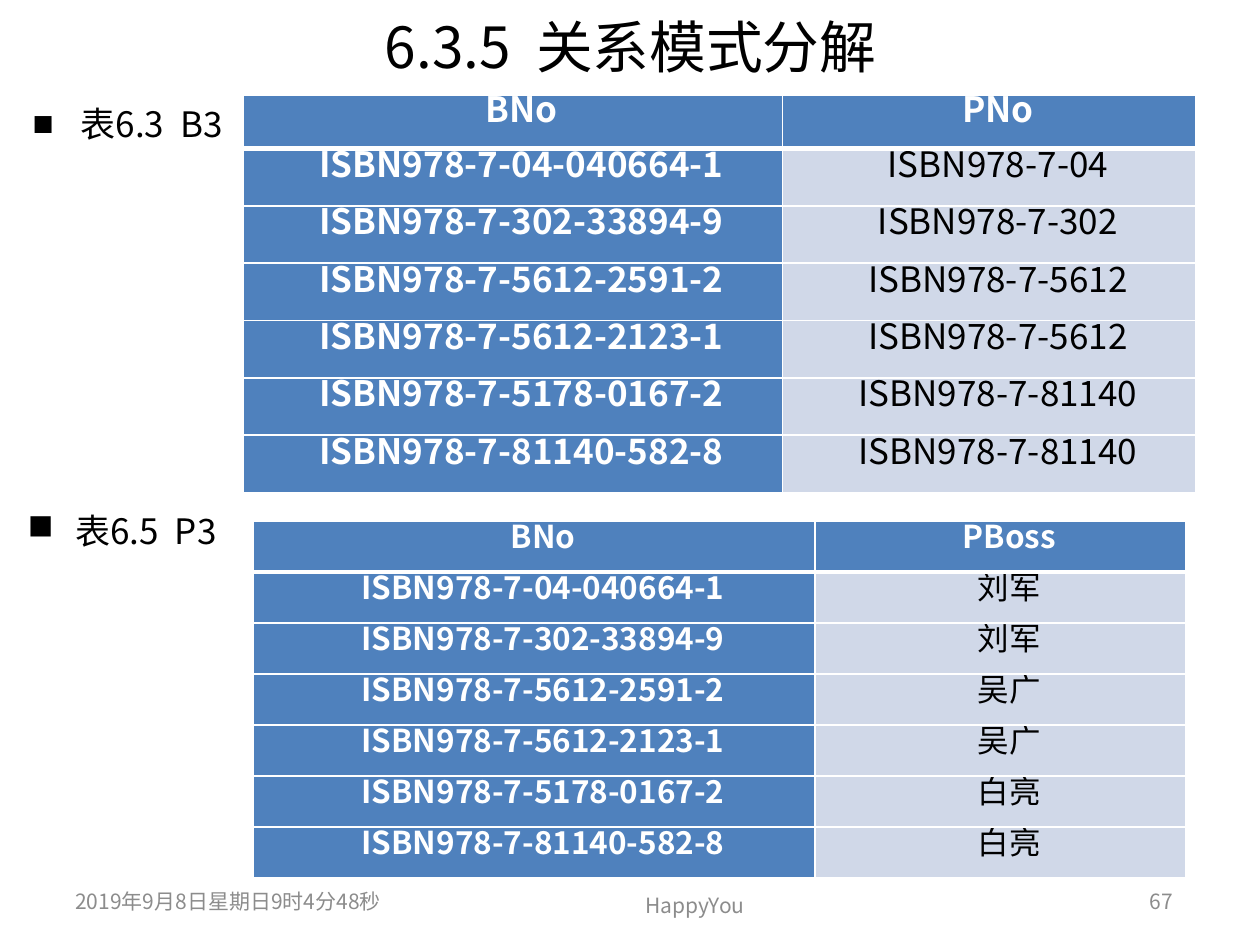
from lxml import etree
from pptx import Presentation
from pptx.dml.color import RGBColor
from pptx.enum.text import MSO_ANCHOR, MSO_AUTO_SIZE, PP_ALIGN
from pptx.oxml.ns import qn
from pptx.util import Inches, Pt

LEFT, CENTER, RIGHT = PP_ALIGN.LEFT, PP_ALIGN.CENTER, PP_ALIGN.RIGHT
MIDDLE, TOP = MSO_ANCHOR.MIDDLE, MSO_ANCHOR.TOP
NO_AUTOFIT = MSO_AUTO_SIZE.NONE

FONT = "Noto Sans CJK SC"
BLACK = RGBColor(0x00, 0x00, 0x00)
WHITE = RGBColor(0xFF, 0xFF, 0xFF)
GRAY = RGBColor(0x8C, 0x8C, 0x8C)
BLUE = RGBColor(0x4F, 0x81, 0xBD)
PALE_BLUE = RGBColor(0xD0, 0xD8, 0xE8)

BOOKS = [
    "ISBN978-7-04-040664-1",
    "ISBN978-7-302-33894-9",
    "ISBN978-7-5612-2591-2",
    "ISBN978-7-5612-2123-1",
    "ISBN978-7-5178-0167-2",
    "ISBN978-7-81140-582-8",
]
PUBLISHERS = [
    "ISBN978-7-04",
    "ISBN978-7-302",
    "ISBN978-7-5612",
    "ISBN978-7-5612",
    "ISBN978-7-81140",
    "ISBN978-7-81140",
]
BOSSES = ["刘军", "刘军", "吴广", "吴广", "白亮", "白亮"]


def style_paragraph(paragraph, size, color, align=LEFT, bold=False):
    paragraph.alignment = align
    font = paragraph.font
    font.name = FONT
    font.size = Pt(size)
    font.bold = bold
    font.color.rgb = color
    defaults = paragraph._p.pPr.find(qn("a:defRPr"))
    etree.SubElement(defaults, qn("a:ea"), typeface=FONT)


def fill_text(shape, box, text, anchor):
    shape.left, shape.top, shape.width, shape.height = map(Inches, box)
    frame = shape.text_frame
    frame.word_wrap = True
    frame.auto_size = NO_AUTOFIT
    frame.vertical_anchor = anchor
    frame.text = text
    return frame.paragraphs[0]


def set_title(title, box, text):
    style_paragraph(fill_text(title, box, text, MIDDLE), 32.4, BLACK, CENTER)


def set_caption(shape, box, text):
    caption = fill_text(shape, box, text, TOP)
    caption.line_spacing = Pt(36)
    caption.space_before = Pt(0)
    properties = caption._p.get_or_add_pPr()
    properties.set("marL", str(Inches(0.38)))
    properties.set("indent", str(-Inches(0.38)))
    etree.SubElement(properties, qn("a:buChar"), char="■")
    style_paragraph(caption, 20, BLACK)


def add_footer(slide, box, text, align):
    footer = slide.shapes.add_textbox(*map(Inches, box))
    style_paragraph(fill_text(footer, box, text, MIDDLE), 12, GRAY, align)


def add_borders(cell, bottom_width):
    properties = cell._tc.get_or_add_tcPr()
    for side, width in (("L", 1), ("R", 1), ("T", 1), ("B", bottom_width)):
        line = etree.SubElement(properties, qn(f"a:ln{side}"), w=str(Pt(width)))
        fill = etree.SubElement(line, qn("a:solidFill"))
        etree.SubElement(fill, qn("a:srgbClr"), val=str(WHITE))


def fill_cell(cell, text, size, is_header, is_key):
    emphasized = is_header or is_key
    cell.margin_left = cell.margin_right = Inches(0.02)
    cell.margin_top = cell.margin_bottom = 0
    cell.vertical_anchor = MIDDLE
    add_borders(cell, 3 if is_header else 1)
    cell.fill.solid()
    cell.fill.fore_color.rgb = BLUE if emphasized else PALE_BLUE
    cell.text = text
    paragraph = cell.text_frame.paragraphs[0]
    paragraph.line_spacing = Pt(12)
    paragraph._p.get_or_add_pPr().set("indent", str(Inches(0.14)))
    style_paragraph(paragraph, size, WHITE if emphasized else BLACK, CENTER, emphasized)


def add_relation(slide, box, key_width, header_height, size, rows):
    width, height = box[2:]
    table = slide.shapes.add_table(len(rows), 2, *map(Inches, box)).table
    table.columns[0].width = Inches(key_width)
    table.columns[1].width = Inches(width - key_width)
    row_height = (height - header_height) / (len(rows) - 1)
    for r, values in enumerate(rows):
        table.rows[r].height = Inches(row_height if r else header_height)
        for c, value in enumerate(values):
            fill_cell(table.cell(r, c), value, size, r == 0, c == 0)


def main():
    prs = Presentation()
    prs.slide_width, prs.slide_height = Inches(10), Inches(7.5)
    slide = prs.slides.add_slide(prs.slide_layouts[1])

    set_title(slide.shapes.title, (0.51, 0.13, 8.99, 0.46), "6.3.5  关系模式分解")

    add_footer(slide, (0.5, 6.95, 3, 0.4), "2019年9月8日星期日9时4分48秒", LEFT)
    add_footer(slide, (4.29, 6.98, 2.45, 0.4), "HappyYou", CENTER)
    add_footer(slide, (7.17, 6.95, 2.24, 0.4), "67", RIGHT)

    set_caption(slide.placeholders[1], (0.16, 0.6, 1.85, 0.63), "表6.3  B3")
    add_relation(slide, (1.93, 0.76, 7.56, 3.15), 4.28, 0.42, 20,
                 [("BNo", "PNo"), *zip(BOOKS, PUBLISHERS)])

    boss_box = (0.12, 3.83, 1.89, 0.63)
    boss_caption = slide.shapes.add_textbox(*map(Inches, boss_box))
    set_caption(boss_caption, boss_box, "表6.5  P3")
    add_relation(slide, (2.01, 4.14, 7.4, 2.83), 4.46, 0.4, 18,
                 [("BNo", "PBoss"), *zip(BOOKS, BOSSES)])

    prs.save("out.pptx")


if __name__ == "__main__":
    main()
